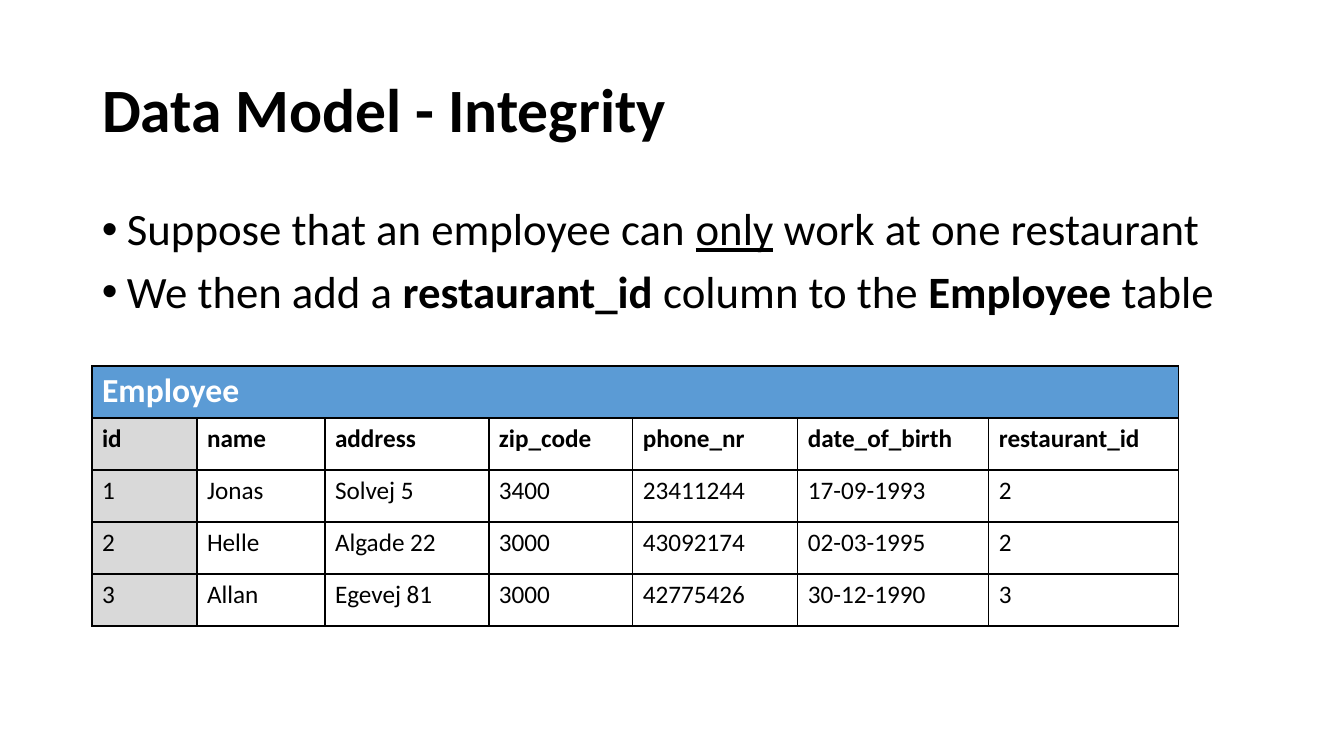
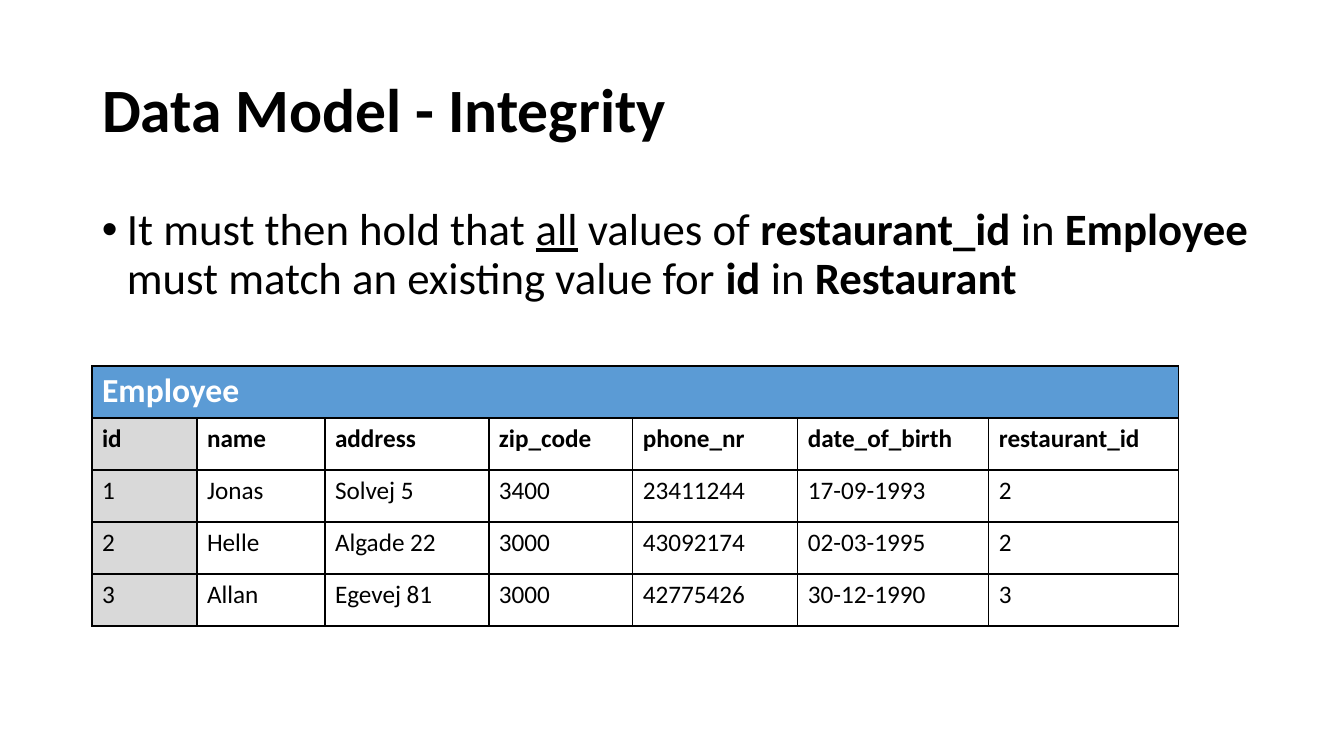
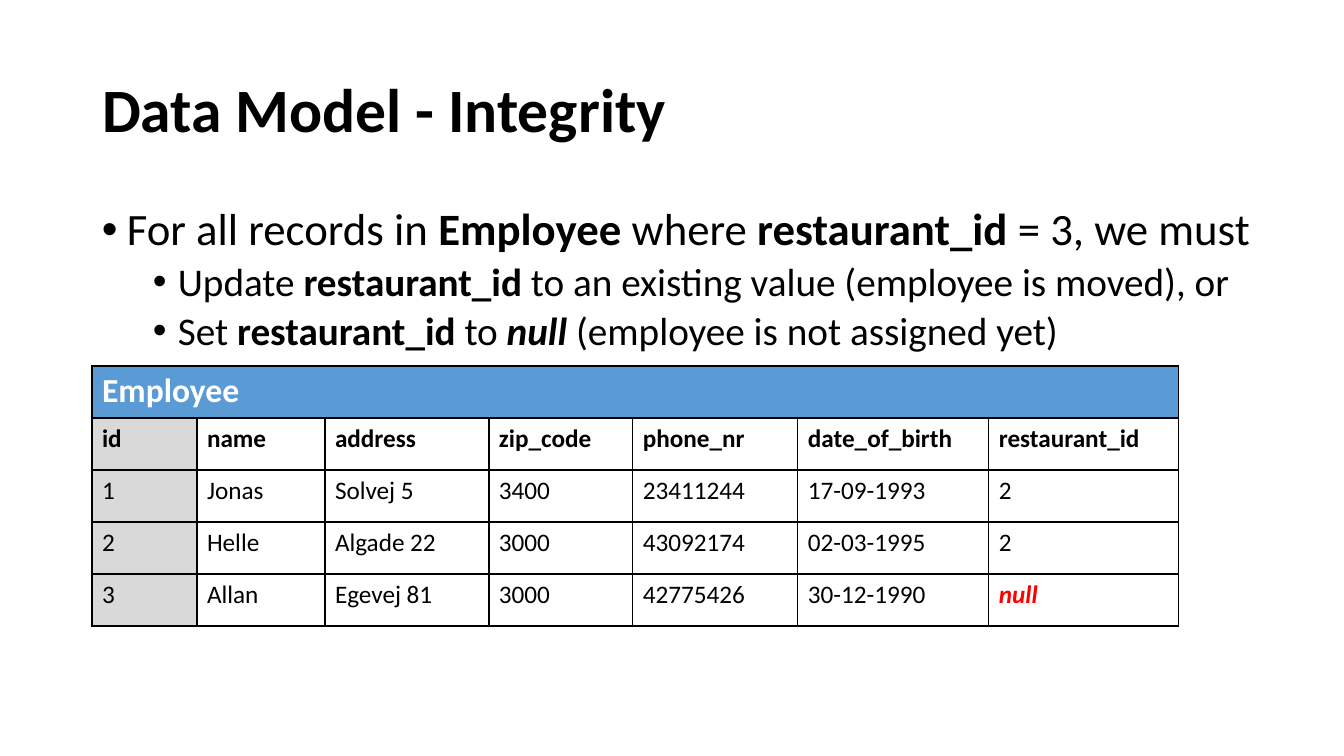
from lxml import etree
from pptx import Presentation
from pptx import util as u
from pptx.dml.color import RGBColor
from pptx.enum import text
from pptx.oxml import ns

# Shared look
SLIDE_W, SLIDE_H = 1344, 756
SCALE = 12192000 / SLIDE_W
FONT = "Calibri"
BLACK = RGBColor(0x00, 0x00, 0x00)
WHITE = RGBColor(0xFF, 0xFF, 0xFF)
BLUE = RGBColor(0x5B, 0x9B, 0xD5)
GREY = RGBColor(0xD9, 0xD9, 0xD9)
RED = RGBColor(0xFF, 0x00, 0x00)

TITLE = "Data Model - Integrity"
TITLE_BOX = (92, 40, 1160, 146)
TABLE_LEFT, TABLE_TOP = 92, 366
COLUMN_WIDTHS = (105, 128, 164, 144, 165, 191, 190)
ROW_HEIGHT = 52

# Bullet levels: text size, indent, space before
LEVELS = ((32, 25, 10), (28, 76, 5))
HANGING = 25

FIELDS = ("id", "name", "address", "zip_code", "phone_nr", "date_of_birth",
          "restaurant_id")
EMPLOYEES = (
    ("1", "Jonas", "Solvej 5", "3400", "23411244", "17-09-1993", "2"),
    ("2", "Helle", "Algade 22", "3000", "43092174", "02-03-1995", "2"),
    ("3", "Allan", "Egevej 81", "3000", "42775426", "30-12-1990", "3"),
)
UNASSIGNED = EMPLOYEES[:2] + (EMPLOYEES[2][:-1] + ("null",),)

# Per slide: bullet box, bullets as (level, runs), table records.
# A run is (words, style), where style holds any of b, i and u.
SLIDES = (
    ((92, 202, 1167, 134), (
        (0, (("Suppose that an employee can ", ""), ("only", "u"),
             (" work at one restaurant", ""))),
        (0, (("We then add a ", ""), ("restaurant_id ", "b"),
             ("column to the ", ""), ("Employee", "b"), (" table", ""))),
    ), EMPLOYEES),
    ((92, 202, 1178, 134), (
        (0, (("It must then hold that ", ""), ("all", "u"),
             (" values of ", ""), ("restaurant_id ", "b"), ("in ", ""),
             ("Employee", "b"), (" must match an existing value for ", ""),
             ("id ", "b"), ("in ", ""), ("Restaurant", "b"))),
    ), EMPLOYEES),
    ((92, 202, 1233, 175), (
        (0, (("For all records in ", ""), ("Employee", "b"), (" where ", ""),
             ("restaurant_id ", "b"), ("= 3, we must", ""))),
        (1, (("Update ", ""), ("restaurant_id ", "b"),
             ("to an existing value (employee is moved), or", ""))),
        (1, (("Set ", ""), ("restaurant_id ", "b"), ("to ", ""),
             ("null", "bi"), (" (employee is not assigned yet)", ""))),
    ), UNASSIGNED),
)


def px(length):
    return u.Emu(round(length * SCALE))


def add_run(paragraph, words, size, style="", color=BLACK):
    run = paragraph.add_run()
    run.text = words
    font = run.font
    font.name, font.size = FONT, u.Pt(size)
    font.color.rgb = color
    font.bold, font.italic = "b" in style, "i" in style
    font.underline = "u" in style


def place_title(slide, box):
    title = slide.shapes.title
    title.left, title.top, title.width, title.height = map(px, box)
    frame = title.text_frame
    frame.auto_size = text.MSO_AUTO_SIZE.NONE
    frame.vertical_anchor = text.MSO_ANCHOR.MIDDLE
    heading = frame.paragraphs[0]
    heading.alignment = text.PP_ALIGN.LEFT
    heading.line_spacing = 0.9
    add_run(heading, TITLE, 44, "b")


def set_bullet(paragraph, indent):
    props = paragraph._p.get_or_add_pPr()
    props.set("marL", str(px(indent)))
    props.set("indent", str(-px(HANGING)))
    etree.SubElement(props, ns.qn("a:buFont"), typeface="Arial")
    etree.SubElement(props, ns.qn("a:buChar"), char="•")


def place_bullets(slide, box, bullets):
    frame = slide.shapes.add_textbox(*map(px, box)).text_frame
    frame.word_wrap = True
    for number, (level, runs) in enumerate(bullets):
        size, indent, space_before = LEVELS[level]
        bullet = frame.add_paragraph() if number else frame.paragraphs[0]
        set_bullet(bullet, indent)
        bullet.level = level
        bullet.line_spacing = 0.9
        bullet.space_before = u.Pt(space_before if number else 0)
        for words, style in runs:
            add_run(bullet, words, size, style)


def set_borders(cell):
    props = cell._tc.get_or_add_tcPr()
    for position, side in enumerate(("lnL", "lnR", "lnT", "lnB")):
        line = etree.Element(ns.qn("a:" + side), w=str(u.Pt(1)))
        fill = etree.SubElement(line, ns.qn("a:solidFill"))
        etree.SubElement(fill, ns.qn("a:srgbClr"), val=str(BLACK))
        props.insert(position, line)


def style_cell(cell, fill):
    if fill is None:
        cell.fill.background()
    else:
        cell.fill.solid()
        cell.fill.fore_color.rgb = fill
    set_borders(cell)


def place_employee_table(slide, left, top, records):
    rows = (FIELDS,) + records
    table = slide.shapes.add_table(
        len(rows) + 1, len(FIELDS), px(left), px(top),
        px(sum(COLUMN_WIDTHS)), px(ROW_HEIGHT * (len(rows) + 1))).table
    table.first_row = table.horz_banding = False
    for column, width in zip(table.columns, COLUMN_WIDTHS):
        column.width = px(width)
    for row in table.rows:
        row.height = px(ROW_HEIGHT)

    # Table name across all columns
    for column in range(len(FIELDS)):
        style_cell(table.cell(0, column), BLUE)
    name = table.cell(0, 0)
    name.merge(table.cell(0, len(FIELDS) - 1))
    add_run(name.text_frame.paragraphs[0], "Employee", 24, "b", WHITE)

    # Field names and records
    for row, values in enumerate(rows, 1):
        for column, value in enumerate(values):
            cell = table.cell(row, column)
            style_cell(cell, None if column else GREY)
            missing = value == "null"
            style = "bi" if missing else "b" if row == 1 else ""
            add_run(cell.text_frame.paragraphs[0], value, 18, style,
                    RED if missing else BLACK)


def main():
    deck = Presentation()
    deck.slide_width, deck.slide_height = px(SLIDE_W), px(SLIDE_H)
    title_only = deck.slide_layouts[5]
    for bullet_box, bullets, records in SLIDES:
        slide = deck.slides.add_slide(title_only)
        place_title(slide, TITLE_BOX)
        place_bullets(slide, bullet_box, bullets)
        place_employee_table(slide, TABLE_LEFT, TABLE_TOP, records)
    deck.save("out.pptx")


if __name__ == "__main__":
    main()
